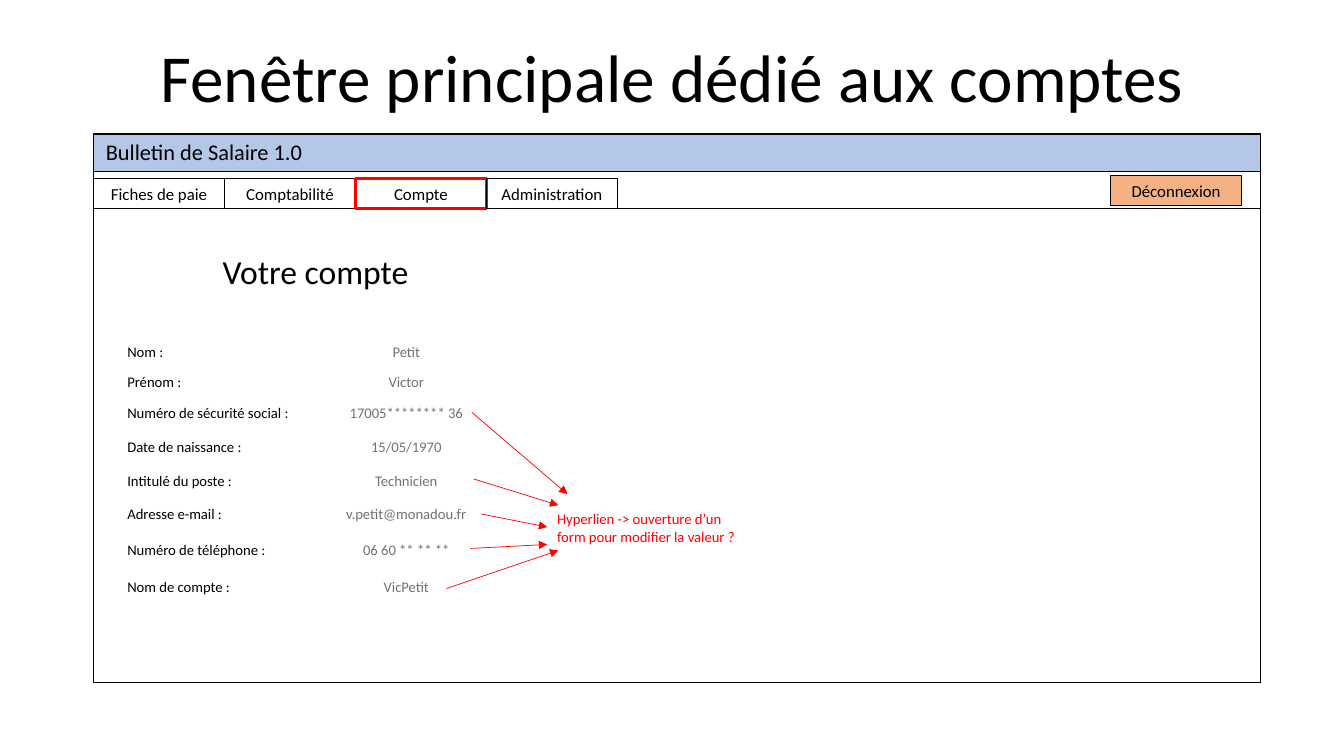
from dataclasses import dataclass

from lxml import etree
from pptx import Presentation
from pptx.dml.color import RGBColor
from pptx.enum.shapes import MSO_CONNECTOR, MSO_SHAPE
from pptx.enum.text import MSO_ANCHOR, MSO_AUTO_SIZE, PP_ALIGN
from pptx.oxml.ns import qn
from pptx.util import Cm, Pt

RECTANGLE = MSO_SHAPE.RECTANGLE
STRAIGHT = MSO_CONNECTOR.STRAIGHT
TOP, BOTTOM = MSO_ANCHOR.TOP, MSO_ANCHOR.BOTTOM
LEFT, CENTER = PP_ALIGN.LEFT, PP_ALIGN.CENTER
NO_AUTOFIT = MSO_AUTO_SIZE.NONE


@dataclass(frozen=True)
class Theme:
    font: str = "Calibri"
    black: RGBColor = RGBColor(0x00, 0x00, 0x00)
    grey: RGBColor = RGBColor(0x76, 0x71, 0x71)
    red: RGBColor = RGBColor(0xFF, 0x00, 0x00)
    blue: RGBColor = RGBColor(0xB4, 0xC7, 0xE7)
    orange: RGBColor = RGBColor(0xF4, 0xB1, 0x83)
    title: float = 48
    heading: float = 24
    window: float = 16
    button: float = 12
    field: float = 10.5


theme = Theme()


def write(shape, text, size, color=theme.black, align=CENTER, anchor=TOP, spacing=1.0):
    frame = shape.text_frame
    frame.word_wrap = True
    frame.auto_size = NO_AUTOFIT
    frame.vertical_anchor = anchor
    paragraph = frame.paragraphs[0]
    paragraph.alignment = align
    paragraph.line_spacing = spacing
    run = paragraph.add_run()
    run.text = text
    run.font.name = theme.font
    run.font.size = Pt(size)
    run.font.color.rgb = color


def add_box(left, top, width, height, fill=None, line=theme.black, weight=1.0):
    """Draw an outlined rectangle, hollow when no fill is given."""
    box = slide.shapes.add_shape(RECTANGLE, Cm(left), Cm(top), Cm(width), Cm(height))
    box.shadow.inherit = False
    if fill is None:
        box.fill.background()
    else:
        box.fill.solid()
        box.fill.fore_color.rgb = fill
    box.line.color.rgb = line
    box.line.width = Pt(weight)
    return box


presentation = Presentation()
presentation.slide_width = Cm(33.87)
presentation.slide_height = Cm(19.05)
slide = presentation.slides.add_slide(presentation.slide_layouts[5])

title = slide.shapes.title
title.left, title.top, title.width, title.height = Cm(2.34), Cm(1.02), Cm(29.21), Cm(2.01)
write(title, "Fenêtre principale dédié aux comptes", theme.title, anchor=BOTTOM, spacing=0.8)

# Application window
window_left, window_top, window_width, window_height = 2.36, 3.38, 29.41, 13.82
panel_top = 5.26
add_box(window_left, window_top, window_width, window_height)
add_box(window_left, window_top, window_width, 0.94, fill=theme.blue)
window_title = slide.shapes.add_textbox(Cm(window_left), Cm(3.43), Cm(5.56), Cm(0.84))
write(window_title, "Bulletin de Salaire 1.0", theme.window, anchor=BOTTOM, spacing=0.8)
add_box(window_left, panel_top, window_width, window_top + window_height - panel_top)

# Tabs and logout button
button_width, button_height = 3.3, 0.76
logout = add_box(27.99, 4.42, button_width, button_height, fill=theme.orange, weight=0.75)
write(logout, "Déconnexion", theme.button)
active_tab = "Compte"
for index, name in enumerate(["Fiches de paie", "Comptabilité", active_tab, "Administration"]):
    line, weight = (theme.red, 2.25) if name == active_tab else (theme.black, 0.75)
    tab = add_box(window_left + index * button_width, 4.5, button_width, button_height,
                  line=line, weight=weight)
    write(tab, name, theme.button)

# Account details
heading = slide.shapes.add_textbox(Cm(5.18), Cm(6.2), Cm(5.54), Cm(1.27))
write(heading, "Votre compte", theme.heading)
account_fields = [
    (8.51, "Nom :", "Petit"),
    (9.27, "Prénom :", "Victor"),
    (10.06, "Numéro de sécurité social :", "17005******** 36"),
    (10.9, "Date de naissance :", "15/05/1970"),
    (11.76, "Intitulé du poste :", "Technicien"),
    (12.6, "Adresse e-mail :", "v.petit@monadou.fr"),
    (13.51, "Numéro de téléphone :", "06 60 ** ** **"),
    (14.43, "Nom de compte :", "VicPetit"),
]
for top, label, value in account_fields:
    label_box = slide.shapes.add_textbox(Cm(2.96), Cm(top), Cm(4.8), Cm(0.71))
    write(label_box, label, theme.field, align=LEFT)
    value_box = slide.shapes.add_textbox(Cm(7.8), Cm(top), Cm(4.88), Cm(0.71))
    write(value_box, value, theme.field, theme.grey)

# Note on the editable values
note = slide.shapes.add_textbox(Cm(13.79), Cm(12.73), Cm(5.23), Cm(1.14))
write(note, "Hyperlien -> ouverture d’un form pour modifier la valeur ?",
      theme.field, theme.red, align=LEFT)
note_arrows = [
    (11.89, 10.39, 14.3, 12.45),
    (11.94, 12.07, 14.07, 12.73),
    (12.12, 12.95, 13.79, 13.28),
    (11.86, 13.82, 13.79, 13.72),
    (11.25, 14.83, 14.07, 13.87),
]
for ends in note_arrows:
    arrow = slide.shapes.add_connector(STRAIGHT, *(Cm(end) for end in ends))
    arrow.line.color.rgb = theme.red
    arrow.line.width = Pt(0.5)
    etree.SubElement(arrow.line._get_or_add_ln(), qn("a:tailEnd"), type="triangle")
    etree.SubElement(arrow._element.spPr, qn("a:effectLst"))

presentation.save("out.pptx")
